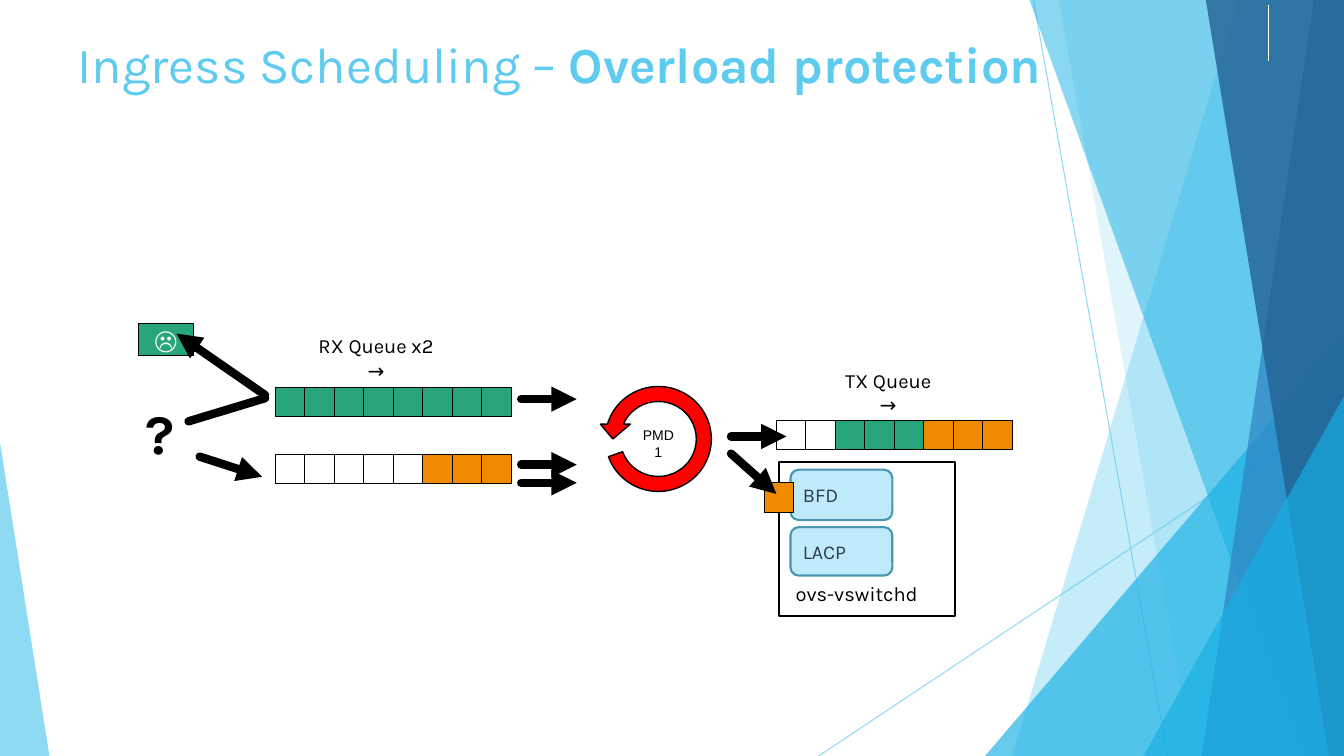
import dataclasses

import lxml.etree
import pptx
import pptx.dml.color
import pptx.enum.shapes
import pptx.enum.text
import pptx.oxml.ns
import pptx.util

PX = 9144  # EMU per px, 100 px to the inch
W, H = 1333, 750
SHAPE = pptx.enum.shapes.MSO_SHAPE
ALIGN = pptx.enum.text.PP_ALIGN
ANCHOR = pptx.enum.text.MSO_ANCHOR
qn = pptx.oxml.ns.qn


@dataclasses.dataclass(frozen=True)
class Theme:
    font: str = "Karla"
    plain_font: str = "Arial"
    sky: str = "5FCBEF"
    azure: str = "17B0E4"
    blue: str = "2E83C3"
    navy: str = "226292"
    green: str = "29A57D"
    orange: str = "F08A00"
    red: str = "FF0000"
    black: str = "000000"
    white: str = "FFFFFF"
    module: str = "BFEAF9"
    module_edge: str = "4696B1"
    module_text: str = "2C3C43"
    title: float = 36
    label: float = 14.4
    small: float = 14
    tiny: float = 10
    face: float = 18
    mark: float = 40


T = Theme()


# Basic helpers
def emu(*lengths):
    return [pptx.util.Emu(round(v * PX)) for v in lengths]


def paint(fill, color, alpha=100):
    if color is None:
        fill.background()
        return
    fill.solid()
    fill.fore_color.rgb = pptx.dml.color.RGBColor.from_string(color)
    if alpha < 100:
        clr = fill._xPr.find(qn("a:solidFill"))[0]
        lxml.etree.SubElement(clr, qn("a:alpha"), val=str(alpha * 1000))


def style(sp, fill=None, line=None, width=0.5, alpha=100):
    sp.shadow.inherit = False
    paint(sp.fill, fill, alpha)
    paint(sp.line.fill, line)
    if line:
        sp.line.width = pptx.util.Pt(width)
    return sp


def shape(s, kind, box, **look):
    return style(s.shapes.add_shape(kind, *emu(*box)), **look)


def write(p, text, size=T.label, color=T.black, font=T.font, bold=False, align=ALIGN.LEFT):
    p.alignment = align
    for i, part in enumerate(text.split("\n")):
        if i:
            p.add_line_break()
        r = p.add_run()
        r.text = part
        r.font.size, r.font.name, r.font.bold = pptx.util.Pt(size), font, bold
        r.font.color.rgb = pptx.dml.color.RGBColor.from_string(color)


def label(s, box, *lines, wrap=True, **fmt):
    tf = s.shapes.add_textbox(*emu(*box)).text_frame
    tf.word_wrap, tf.vertical_anchor = wrap, ANCHOR.MIDDLE
    tf.margin_left = tf.margin_top = tf.margin_right = tf.margin_bottom = 0
    for i, text in enumerate(lines):
        write(tf.add_paragraph() if i else tf.paragraphs[0], text, **fmt)


def line(s, start, end, color=T.black, width=6, alpha=100, head=False):
    kind = pptx.enum.shapes.MSO_CONNECTOR.STRAIGHT
    c = s.shapes.add_connector(kind, *emu(*start, *end))
    paint(c.line.fill, color, alpha)
    c.line.width = pptx.util.Pt(width)
    ln = c.line._get_or_add_ln()
    if width == 6:
        ln.set("cap", "rnd")
    if head:
        lxml.etree.SubElement(ln, qn("a:tailEnd"), type="triangle")
    lxml.etree.SubElement(c._element.spPr, qn("a:effectLst"))


# Regions of the slide
def backdrop(s, box):
    x, y, w, h = box
    right, bottom = x + w, y + h

    def band(top, base, color, alpha):
        fb = s.shapes.build_freeform(x + top, y, scale=PX)
        fb.add_line_segments([(right, y), (right, bottom), (x + base, bottom)])
        style(fb.convert_to_shape(), fill=color, alpha=alpha)

    def wedge(left, top, width, color, alpha, apex):
        sp = shape(s, SHAPE.ISOSCELES_TRIANGLE, (x + left, y + top, width, h - top),
                   fill=color, alpha=alpha)
        sp.adjustments[0] = apex

    line(s, (x + 1025, y), (x + 1158, bottom), T.sky, 0.75, 70)
    line(s, (right, y + 403), (x + 812, bottom), T.sky, 0.75, 70)
    band(1228, 1004, T.sky, 36)
    band(1050, 1183, T.sky, 20)
    wedge(977, 333, 356, T.azure, 66, 1)
    band(1021, 1291, T.azure, 50)
    band(1303, 1192, T.blue, 70)
    band(1196, 1318, T.navy, 80)
    wedge(1134, 393, 199, T.azure, 66, 1)
    wedge(0, 439, 49, T.sky, 70, 0)
    line(s, (x + 1258, y + 5), (x + 1258, y + 61), T.white, 1)


def heading(s, box, light, strong):
    sp = s.shapes.title
    s.shapes._spTree.append(sp._element)  # in front of the backdrop
    sp.left, sp.top, sp.width, sp.height = emu(*box)
    tf = sp.text_frame
    tf.vertical_anchor = ANCHOR.BOTTOM
    tf.margin_bottom = emu(2)[0]
    p = tf.paragraphs[0]
    write(p, light, size=T.title, color=T.sky)
    write(p, strong, size=T.title, color=T.sky, bold=True)


def intake(s, box):
    x, y, w, h = box
    line(s, (x + 61, y + 132), (x + 123, y + 152), head=True)
    drop = shape(s, SHAPE.RECTANGLE, (x, y, 55, 32), fill=T.green, line=T.black)
    drop.text_frame.vertical_anchor = ANCHOR.MIDDLE
    write(drop.text_frame.paragraphs[0], "☹", size=T.face, color=T.white, align=ALIGN.CENTER)
    line(s, (x + w, y + 71), (x + 38, y + 10), head=True)
    label(s, (x, y + 74, 44, 67), "?", size=T.mark, bold=True, align=ALIGN.CENTER)
    line(s, (x + 50, y + 97), (x + w, y + 74))


def queue(s, box, cells):
    x, y, w, h = box
    step = w / len(cells)
    for i, color in enumerate(cells):
        shape(s, SHAPE.RECTANGLE, (x + i * step, y, step, h), fill=color, line=T.black)


def switch(s, box):
    x, y, w, h = box
    label(s, (x + 16, y + 119, w - 3, 24), "ovs-vswitchd")
    shape(s, SHAPE.RECTANGLE, box, line=T.black, width=1.5)
    for name, top, height in (("BFD", 8, 50), ("LACP", 65, 48)):
        sp = shape(s, SHAPE.ROUNDED_RECTANGLE, (x + 11, y + top, 101, height),
                   fill=T.module, line=T.module_edge, width=1.5)
        sp.text_frame.vertical_anchor = ANCHOR.MIDDLE
        write(sp.text_frame.paragraphs[0], name, size=T.small, color=T.module_text)


def poll_loop(s, box):
    x, y, w, h = box
    sp = shape(s, SHAPE.CIRCULAR_ARROW, box, fill=T.red, line=T.black, width=1)
    for i, value in enumerate((0.125, 11.42, 204.58, 11.75, 0.125)):
        sp.adjustments[i] = value
    sp._element.spPr.find(qn("a:xfrm")).set("flipH", "1")
    label(s, (x + 22, y + 31, 76, 65), "PMD\n1", wrap=False, size=T.tiny,
          font=T.plain_font, align=ALIGN.CENTER)


def main():
    prs = pptx.Presentation()
    prs.slide_width, prs.slide_height = emu(W, H)
    s = prs.slides.add_slide(prs.slide_layouts[5])
    backdrop(s, (0, 0, W, H))
    heading(s, (67, 25, 1200, 70), "Ingress Scheduling – ", "Overload protection")

    # Queues and their captions
    label(s, (280, 331, 186, 48), "RX Queue x2", "→", align=ALIGN.CENTER)
    label(s, (788, 365, 186, 48), "TX Queue", "→", align=ALIGN.CENTER)
    intake(s, (137, 321, 126, 155))
    queue(s, (273, 451, 234, 29), [None] * 5 + [T.orange] * 3)
    queue(s, (273, 384, 234, 29), [T.green] * 8)
    queue(s, (770, 417, 234, 29), [None] * 2 + [T.green] * 3 + [T.orange] * 3)

    # Level arrows
    for x, y in ((517, 396), (517, 461), (517, 479), (725, 433)):
        line(s, (x, y), (x + 55, y), head=True)

    switch(s, (773, 458, 174, 153))
    poll_loop(s, (593, 376, 120, 119))

    # Packet handed to the switch
    queue(s, (758, 479, 29, 29), [T.orange])
    line(s, (725, 450), (770, 490), head=True)
    prs.save("out.pptx")


if __name__ == "__main__":
    main()
